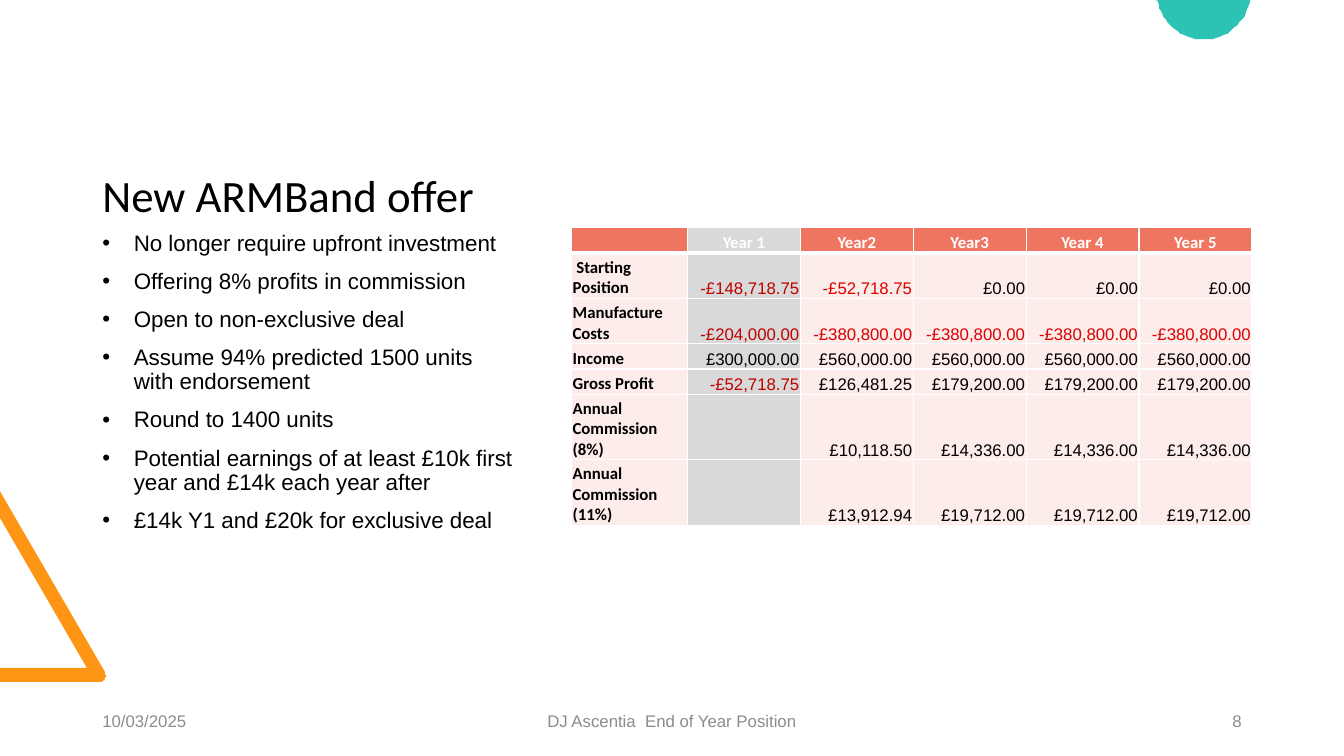
from dataclasses import dataclass

from lxml.etree import SubElement
from pptx import Presentation
from pptx.dml.color import RGBColor
from pptx.enum.text import MSO_ANCHOR, MSO_AUTO_SIZE, PP_ALIGN
from pptx.oxml.ns import qn
from pptx.util import Pt


@dataclass(frozen=True)
class Theme:
    heading_font: str = "Calibri"
    body_font: str = "Arial"
    title_size: float = 32
    body_size: float = 16
    small_size: float = 12
    text: str = "000000"
    muted: str = "8C8C8C"
    white: str = "FFFFFF"
    orange: str = "FF9514"
    teal: str = "2CC3B4"
    header_fill: str = "EE7661"
    row_fill: str = "FCECEA"
    past_fill: str = "D9D9D9"
    past_loss: str = "BE0000"
    loss: str = "DC0000"


OFFER_POINTS = [
    "No longer require upfront investment",
    "Offering 8% profits in commission",
    "Open to non-exclusive deal",
    "Assume 94% predicted 1500 units with endorsement",
    "Round to 1400 units",
    "Potential earnings of at least £10k first year and £14k each year after",
    "£14k Y1 and £20k for exclusive deal",
]
FORECAST = [
    ["", "Year 1", "Year2", "Year3", "Year 4", "Year 5"],
    [" Starting Position", "-£148,718.75", "-£52,718.75"] + ["£0.00"] * 3,
    ["Manufacture Costs", "-£204,000.00"] + ["-£380,800.00"] * 4,
    ["Income", "£300,000.00"] + ["£560,000.00"] * 4,
    ["Gross Profit", "-£52,718.75", "£126,481.25"] + ["£179,200.00"] * 3,
    ["Annual Commission (8%)", "", "£10,118.50"] + ["£14,336.00"] * 3,
    ["Annual Commission (11%)", "", "£13,912.94"] + ["£19,712.00"] * 3,
]
COLUMN_WIDTHS = [82.8] + [80.64] * 5
ROW_HEIGHTS = [18, 32.4, 32.4, 18, 18, 46.8, 46.8]
PAST_COLUMN = 1
HEADER_RULE = 3


def rgb(code):
    return RGBColor.from_string(code)


def curve(start, *controls, steps=16):
    """Points along a cubic Bezier, without its start."""
    points = []
    for step in range(1, steps + 1):
        t = step / steps
        weights = ((1 - t) ** 3, 3 * t * (1 - t) ** 2, 3 * t * t * (1 - t), t ** 3)
        points.append(tuple(sum(w * p[axis] for w, p in zip(weights, (start, *controls)))
                            for axis in (0, 1)))
    return points


class SlideBuilder:
    def __init__(self, slide, theme):
        self.slide = slide
        self.theme = theme

    def style(self, paragraph, size, color, font=None, bold=False, align=PP_ALIGN.LEFT):
        paragraph.alignment = align
        paragraph.font.name = font or self.theme.body_font
        paragraph.font.size = Pt(size)
        paragraph.font.bold = bold
        paragraph.font.color.rgb = rgb(color)

    def outline(self, points, color):
        builder = self.slide.shapes.build_freeform(*points[0], scale=float(Pt(1)))
        builder.add_line_segments(points[1:], close=True)
        shape = builder.convert_to_shape()
        shape.shadow.inherit = False
        shape.fill.solid()
        shape.fill.fore_color.rgb = rgb(color)
        shape.line.fill.background()

    def title(self, text, left, top, width, height):
        title = self.slide.shapes.title
        title.left, title.top, title.width, title.height = map(Pt, (left, top, width, height))
        frame = title.text_frame
        frame.text = text
        frame.auto_size = MSO_AUTO_SIZE.NONE
        frame.vertical_anchor = MSO_ANCHOR.BOTTOM
        frame.paragraphs[0].line_spacing = 0.9
        self.style(frame.paragraphs[0], self.theme.title_size, self.theme.text,
                   self.theme.heading_font)

    def text_frame(self, left, top, width, height):
        box = self.slide.shapes.add_textbox(*map(Pt, (left, top, width, height)))
        box.text_frame.word_wrap = True
        return box.text_frame

    def bullets(self, items, left, top, width, height):
        frame = self.text_frame(left, top, width, height)
        frame.text = "\n".join(items)
        for paragraph in frame.paragraphs:
            paragraph.line_spacing = 0.9
            paragraph.space_before = Pt(10)
            properties = paragraph._p.get_or_add_pPr()
            properties.set("marL", str(Pt(22.5)))
            properties.set("indent", str(-Pt(22.5)))
            SubElement(properties, qn("a:buFont"), typeface=self.theme.body_font)
            SubElement(properties, qn("a:buChar"), char="•")
            self.style(paragraph, self.theme.body_size, self.theme.text)

    def footer(self, text, left, width, align):
        frame = self.text_frame(left, 500.5, width, 28.75)
        frame.text = text
        frame.vertical_anchor = MSO_ANCHOR.MIDDLE
        frame.paragraphs[0].space_after = Pt(6)
        self.style(frame.paragraphs[0], self.theme.small_size, self.theme.muted, align=align)

    def borders(self, cell, **widths):
        properties = cell._tc.get_or_add_tcPr()
        for side in "LRTB":
            line = SubElement(properties, qn(f"a:ln{side}"), w=str(Pt(widths.get(side, 1))))
            fill = SubElement(line, qn("a:solidFill"))
            SubElement(fill, qn("a:srgbClr"), val=self.theme.white)

    def cell(self, cell, text, row, column):
        theme = self.theme
        past, header, label = column == PAST_COLUMN, row == 0, column == 0
        self.borders(cell, T=HEADER_RULE if row == 1 else 1, B=HEADER_RULE if header else 1)
        cell.fill.solid()
        cell.fill.fore_color.rgb = rgb(theme.past_fill if past else
                                       theme.header_fill if header else theme.row_fill)
        cell.margin_left = cell.margin_right = cell.margin_top = Pt(0.72)
        cell.margin_bottom = 0
        cell.vertical_anchor = MSO_ANCHOR.BOTTOM
        cell.text = text
        color, align = theme.text, PP_ALIGN.RIGHT
        if header:
            color, align = theme.white, PP_ALIGN.CENTER
        elif label:
            align = PP_ALIGN.LEFT
        elif text.startswith("-"):
            color = theme.past_loss if past else theme.loss
        heading = header or label
        self.style(cell.text_frame.paragraphs[0], theme.small_size, color,
                   theme.heading_font if heading else theme.body_font, heading, align)

    def table(self, rows, left, top):
        table = self.slide.shapes.add_table(
            len(rows), len(rows[0]), Pt(left), Pt(top),
            Pt(sum(COLUMN_WIDTHS)), Pt(sum(ROW_HEIGHTS))).table
        table.horz_banding = False
        for column, width in zip(table.columns, COLUMN_WIDTHS):
            column.width = Pt(width)
        for row, height in zip(table.rows, ROW_HEIGHTS):
            row.height = Pt(height)
        for row, texts in enumerate(rows):
            for column, text in enumerate(texts):
                self.cell(table.cell(row, column), text, row, column)


def main():
    presentation = Presentation()
    presentation.slide_width, presentation.slide_height = Pt(960), Pt(540)
    theme = Theme()
    page = SlideBuilder(presentation.slides.add_slide(presentation.slide_layouts[5]), theme)

    tip, corner = (74.9, 480.2), (75.6, 482.4)
    page.outline([(0, 487.4), (0, 477.4), (61.9, 477.4), (0, 370.1), (0, 350.6), tip,
                  *curve(tip, (75.3, 480.9), (75.6, 481.6), corner),
                  *curve(corner, (75.6, 485.2), (73.4, 487.4), (70.6, 487.4))], theme.orange)
    right, bottom = (893, 0.7), (859.9, 28.1)
    page.outline([(826.5, 0), (893.4, 0), right,
                  *curve(right, (889.9, 16.4), (876.2, 28.1), bottom),
                  *curve(bottom, (843.6, 28.1), (829.9, 16.4), (826.8, 0.7))], theme.teal)

    page.title("New ARMBand offer", 66, 36, 309.6, 126)
    page.bullets(OFFER_POINTS, 66, 162, 309.6, 300)
    page.footer("10/03/2025", 66, 216, PP_ALIGN.LEFT)
    page.footer("DJ Ascentia  End of Year Position", 318, 324, PP_ALIGN.CENTER)
    page.footer("8", 678, 216, PP_ALIGN.RIGHT)
    page.table(FORECAST, 408.3, 162.7)
    presentation.save("out.pptx")


if __name__ == "__main__":
    main()
